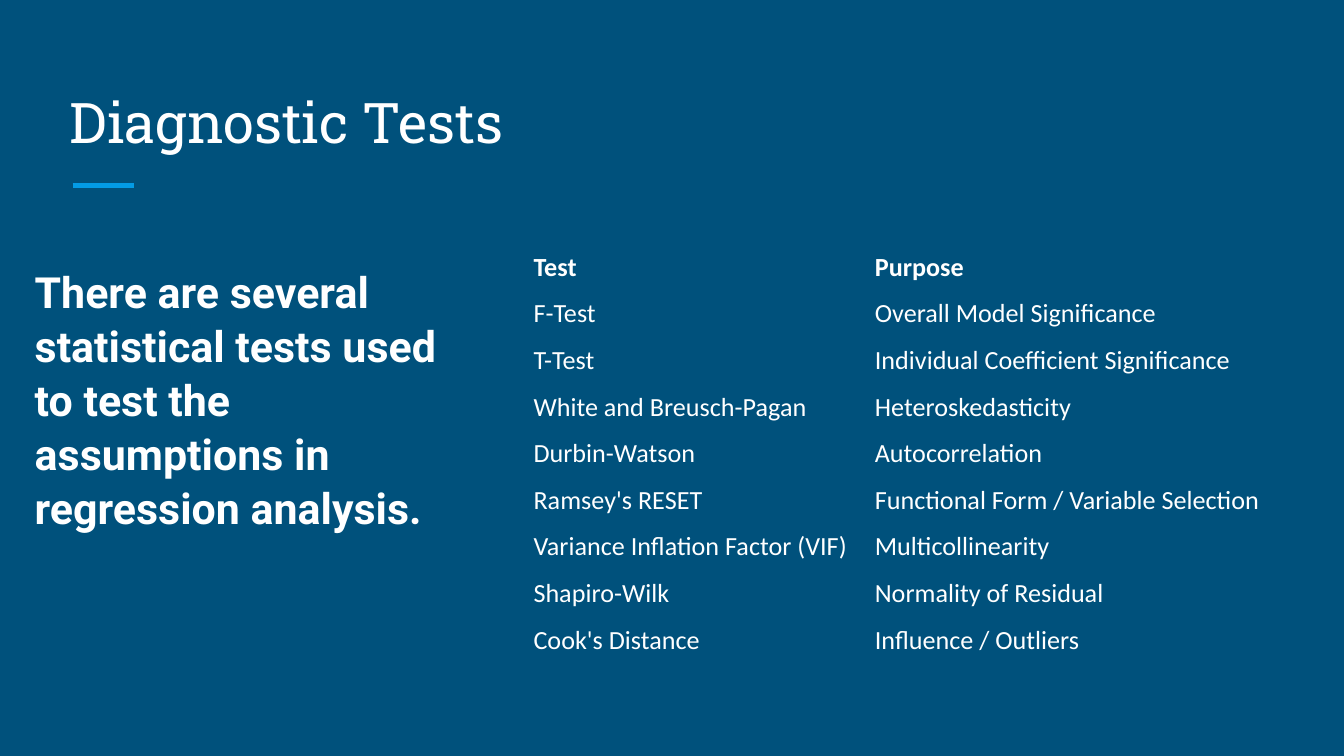
from pptx import Presentation
from pptx.dml.color import RGBColor
from pptx.enum.shapes import MSO_CONNECTOR as Link
from pptx.enum.text import MSO_ANCHOR as Anchor, MSO_AUTO_SIZE as Fit, PP_ALIGN as Align
from pptx.oxml.ns import qn
from pptx.util import Inches, Pt
from lxml.etree import SubElement as Sub

BACK, WHITE, BLUE = "00517C", "FFFFFF", "039BE5"
TESTS = [
    ("Test", "Purpose"),
    ("F-Test", "Overall Model Significance"),
    ("T-Test", "Individual Coefficient Significance"),
    ("White and Breusch-Pagan", "Heteroskedasticity"),
    ("Durbin-Watson", "Autocorrelation"),
    ("Ramsey's RESET", "Functional Form / Variable Selection"),
    ("Variance Inflation Factor (VIF)", "Multicollinearity"),
    ("Shapiro-Wilk", "Normality of Residual"),
    ("Cook's Distance", "Influence / Outliers"),
]


def paint(color, hue):
    """Give a fill or font colour its hex value."""
    color.rgb = RGBColor.from_string(hue)


def write(frame, text, font, size, bold=False, hue=WHITE, space=1.0):
    """Put one left-aligned paragraph in a text frame."""
    frame.word_wrap = True
    para = frame.paragraphs[0]
    para.alignment = Align.LEFT
    para.line_spacing = space
    run = para.add_run()
    run.text = text
    run.font.name, run.font.size, run.font.bold = font, Pt(size), bold
    paint(run.font.color, hue)


def inset(item, left, top, right, low):
    """Set the margins of a text frame or cell in inches."""
    item.margin_left, item.margin_top = Inches(left), Inches(top)
    item.margin_right, item.margin_bottom = Inches(right), Inches(low)


def head(slide, left, top, width, height):
    """Place the title and the short accent line below it."""
    title = slide.shapes.title
    title.left, title.top = Inches(left), Inches(top)
    title.width, title.height = Inches(width), Inches(height)
    frame = title.text_frame
    frame.auto_size = Fit.NONE
    frame.vertical_anchor = Anchor.BOTTOM
    inset(frame, 0.1, 0.1, 0.1, 0.1)
    write(frame, "Diagnostic Tests", "Roboto Slab", 30)
    start, level = left + 0.12, top + height + 0.13
    rule = slide.shapes.add_connector(
        Link.STRAIGHT, Inches(start), Inches(level), Inches(start + 0.46), Inches(level))
    rule.line.width = Pt(3)
    paint(rule.line.color, BLUE)
    Sub(rule._element.spPr, qn("a:effectLst"))


def intro(slide, left, top, width, height):
    """Place the bold statement on the left."""
    box = slide.shapes.add_textbox(
        Inches(left), Inches(top), Inches(width), Inches(height))
    inset(box.text_frame, 0.1, 0.1, 0.1, 0.1)
    write(box.text_frame,
          "There are several statistical tests used to test the "
          "assumptions in regression analysis.",
          "Roboto", 23, bold=True, space=1.05)


def clear(cell):
    """Remove the borders and fill of a cell."""
    props = cell._tc.get_or_add_tcPr()
    for side in ("a:lnL", "a:lnR", "a:lnT", "a:lnB"):
        Sub(Sub(props, qn(side), w="0"), qn("a:noFill"))
    cell.fill.background()


def grid(slide, left, top, widths, height):
    """Place the table of tests and their purposes."""
    table = slide.shapes.add_table(
        len(TESTS), len(widths), Inches(left), Inches(top),
        Inches(sum(widths)), Inches(height * len(TESTS))).table
    table.first_row = table.horz_banding = False
    for col, width in zip(table.columns, widths):
        col.width = Inches(width)
    for r, row in enumerate(TESTS):
        for c, text in enumerate(row):
            cell = table.cell(r, c)
            clear(cell)
            inset(cell, 0.01, 0.01, 0.01, 0.1)
            cell.vertical_anchor = Anchor.BOTTOM
            write(cell.text_frame, text, "Calibri", 14, bold=r == 0)


def main():
    """Build and save the slide."""
    deck = Presentation()
    deck.slide_width, deck.slide_height = Inches(10), Inches(10 * 9 / 16)
    slide = deck.slides.add_slide(deck.slide_layouts[5])
    slide.background.fill.solid()
    paint(slide.background.fill.fore_color, BACK)
    head(slide, 0.42, 0.5, 9.15, 0.75)
    intro(slide, 0.16, 1.86, 3.48, 3.37)
    grid(slide, 3.96, 1.86, (2.54, 3.07), 25 / 72)
    deck.save("out.pptx")


if __name__ == "__main__":
    main()
